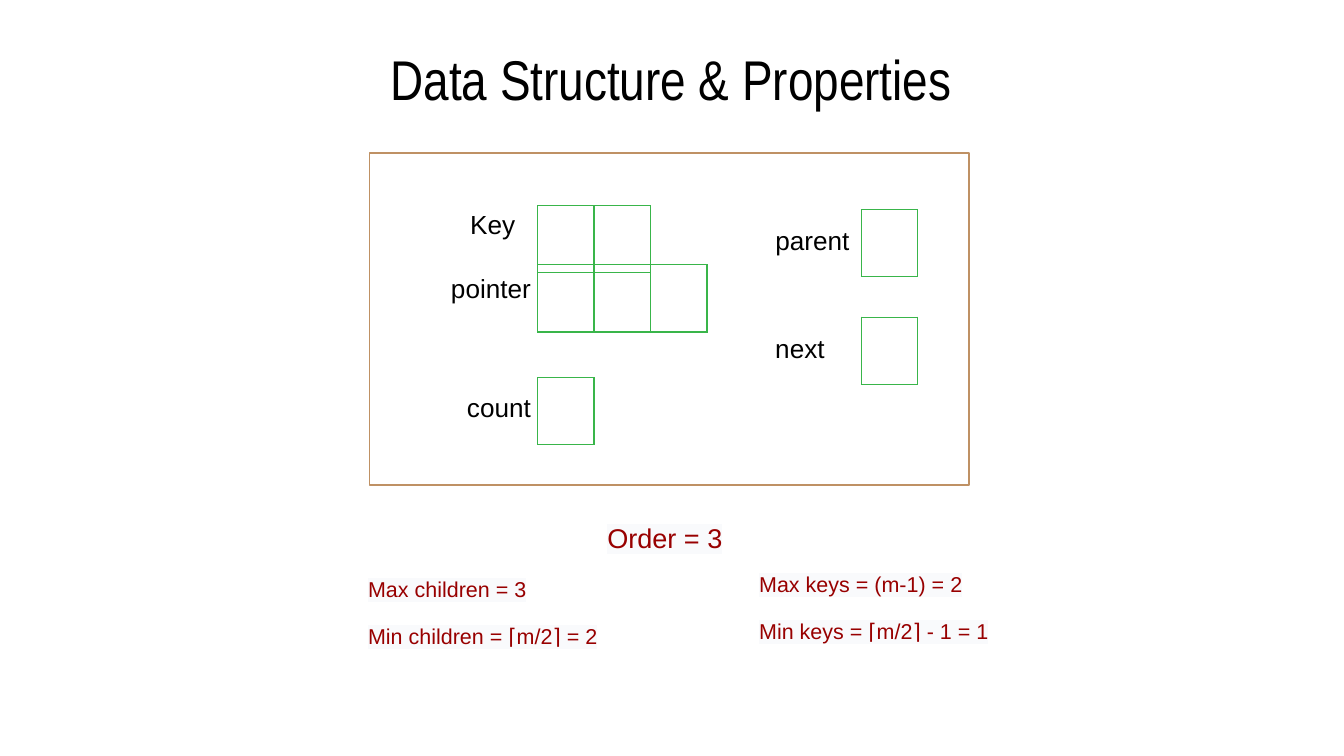
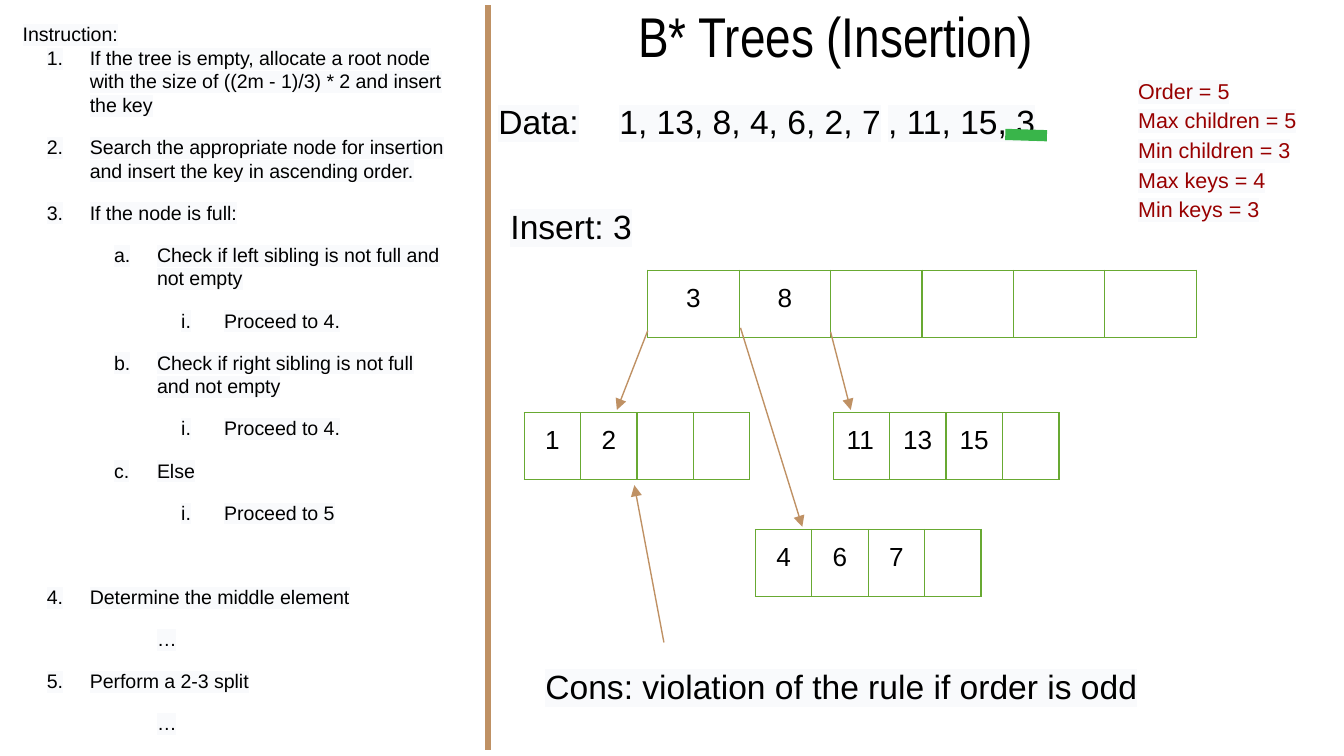
"""Builds two slides on B* trees: node structure and insertion."""
from pptx import Presentation
from pptx.dml.color import RGBColor
from pptx.enum.shapes import MSO_CONNECTOR, MSO_SHAPE
from pptx.enum.text import MSO_ANCHOR, PP_ALIGN
from pptx.oxml.ns import qn
from pptx.util import Inches, Pt
from lxml.etree import SubElement

WIDE = 10
HIGH = WIDE * 9 / 16
BLACK, RED, TAN = "000000", "980000", "BF9164"
GREEN, LEAF, PALE = "39B54A", "68A932", "F9FAFC"
LEFT, MID, RIGHT = PP_ALIGN.LEFT, PP_ALIGN.CENTER, PP_ALIGN.RIGHT
PAD, CELL, GAP = 0.1, 0.42, 10

FRAME = (2.75, 1.14, 4.46, 2.47)
SLOTS = [(4, 1.53, 2, 0.43), (4, 1.97, 2, 0.43), (4 + 2 * CELL, 1.97, 1, 0.17),
         (4, 2.81, 1, 0.43), (6.41, 1.56, 1, 0.43), (6.41, 2.36, 1, 0.43)]
LABELS = [("Key", 3.4, 1.45, 1.01, LEFT), ("pointer", 2.88, 1.93, 1.17, RIGHT),
          ("count", 3.31, 2.81, 0.74, RIGHT), ("parent", 5.67, 1.57, 1.01, LEFT),
          ("next", 5.67, 2.37, 0.74, LEFT)]
ORDER = ("Order = 3", 4.42, 3.74, 1.42, 0.39)
RULES = [(2.64, 4.16, ["Max children = 3", "Min children = ⌈m/2⌉ = 2"]),
         (5.55, 4.12, ["Max keys = (m-1) = 2", "Min keys = ⌈m/2⌉ - 1 = 1"])]
STEP = 0.35

STEPS = [
    ("1", 1, "If the tree is empty, allocate a root node with the size of ((2m - 1)/3) * 2 and insert the key"),
    ("1", 1, "Search the appropriate node for insertion and insert the key in ascending order."),
    ("1", 1, "If the node is full:"),
    ("a", 1, "Check if left sibling is not full and not empty"),
    ("i", 1, "Proceed to 4."),
    ("a", 1, "Check if right sibling is not full and not empty"),
    ("i", 1, "Proceed to 4."),
    ("a", 1, "Else"),
    ("i", 1, "Proceed to 5"),
    ("1", 4, "Determine the middle element"),
    ("", 1, "\t…"),
    ("1", 5, "Perform a 2-3 split"),
    ("", 1, "\t…"),
]
LEVELS = {"1": (0, "arabicPeriod"), "a": (1, "alphaLcPeriod"),
          "i": (2, "romanLcPeriod"), "": (0, None)}
NOTES = [("1, 13, 8, 4, 6, 2, 7\t, 11, 15, 3", 4.51, 0.61, 3.98),
         ("Data:", 3.61, 0.61, 0.99), ("Insert: 3", 3.7, 1.39, 1.47),
         ("Cons: violation of the rule if order is odd", 3.96, 4.81, 5.1)]
FACTS = ["Order = 5", "Max children = 5", "Min children = 3", "Max keys = 4", "Min keys = 3"]
NODES = [(4.82, 2.01, 0.68, ["3", "8", "", "", "", ""], MID),
         (3.9, 3.07, CELL, ["1", "2", "", ""], MID),
         (5.62, 3.94, CELL, ["4", "6", "7", ""], MID),
         (6.2, 3.07, CELL, ["11", "13", "15", ""], LEFT)]
ARROWS = [(4.82, 2.46, 4.59, 3.05), (5.51, 2.44, 5.97, 3.92),
          (6.18, 2.47, 6.33, 3.05), (4.94, 4.78, 4.72, 3.61)]


def hue(code):
    return RGBColor.from_string(code)


def style(para, size, tint=BLACK, face="Arial", align=None):
    para.alignment = align
    font = para.font
    font.size, font.name = Pt(size), face
    font.color.rgb = hue(tint)


def mark(para):
    for run in para.runs:
        pen = SubElement(run._r.get_or_add_rPr(), qn("a:highlight"))
        SubElement(pen, qn("a:srgbClr"), val=PALE)


def frame(slide, left, top, width, high):
    body = slide.shapes.add_textbox(*map(Inches, (left, top, width, high))).text_frame
    body.word_wrap = True
    body.margin_left = body.margin_right = Inches(PAD)
    body.margin_top = body.margin_bottom = Inches(PAD)
    return body


def text(slide, lines, left, top, width, high, size, tint=BLACK, align=None,
         lit=True, after=None):
    body = frame(slide, left, top, width, high)
    for num, line in enumerate(lines):
        para = body.add_paragraph() if num else body.paragraphs[0]
        para.text = line
        if lit:
            para.line_spacing = 1.15
            mark(para)
        if after:
            para.space_after = Pt(after)
        style(para, size, tint, align=align)
    return body


def title(slide, words, left, top, width):
    body = frame(slide, left, top, width, 0.53)
    body.vertical_anchor = MSO_ANCHOR.MIDDLE
    body.text = words
    style(body.paragraphs[0], 30, face="Arial Narrow", align=MID)


def grid(slide, left, top, wide, high, keys, tint, align=MID):
    size = map(Inches, (left, top, wide * len(keys), high))
    table = slide.shapes.add_table(1, len(keys), *size).table
    table.first_row = table.horz_banding = False
    for col, key in enumerate(keys):
        table.columns[col].width = Inches(wide)
        cell = table.cell(0, col)
        cell.margin_left = cell.margin_right = Inches(PAD)
        cell.margin_top = cell.margin_bottom = Inches(PAD)
        if key:
            cell.text = key
            style(cell.text_frame.paragraphs[0], 14, align=align)
        props = cell._tc.get_or_add_tcPr()
        for side in "LRTB":
            edge = SubElement(props, qn("a:ln" + side), w=str(Pt(0.75)))
            fill = SubElement(edge, qn("a:solidFill"))
            SubElement(fill, qn("a:srgbClr"), val=tint)
        cell.fill.background()


def line(slide, ends, tint, width, head=False):
    link = slide.shapes.add_connector(MSO_CONNECTOR.STRAIGHT, *map(Inches, ends))
    link.line.color.rgb = hue(tint)
    link.line.width = Pt(width)
    SubElement(link._element.spPr, qn("a:effectLst"))
    if head:
        SubElement(link.line._get_or_add_ln(), qn("a:tailEnd"), type="triangle")


def steps(slide):
    body = text(slide, ["Instruction:"], 0.07, 0.04, 3.35, 4.92, 10.5)
    for num, (kind, start, words) in enumerate(STEPS):
        para = body.add_paragraph()
        para.text = words
        mark(para)
        level, scheme = LEVELS[kind]
        para.level = level
        props = para._p.get_or_add_pPr()
        props.set("marL", str(Inches(0.5 * (level + 1))))
        props.set("indent", str(Inches(-0.32 if scheme else 0)))
        if scheme:
            paint = SubElement(props, qn("a:buClr"))
            SubElement(paint, qn("a:srgbClr"), val=BLACK)
            auto = SubElement(props, qn("a:buAutoNum"), type=scheme)
            if start > 1:
                auto.set("startAt", str(start))
        else:
            SubElement(props, qn("a:buNone"))
        if num:
            para.space_before = Pt(32.5 if start == 4 else GAP)
        style(para, 10.5)


def structure(slide):
    title(slide, "Data Structure & Properties", 2.14, 0.32, 5.71)
    box = slide.shapes.add_shape(MSO_SHAPE.RECTANGLE, *map(Inches, FRAME))
    box.shadow.inherit = False
    box.fill.background()
    box.line.color.rgb = hue(TAN)
    box.line.width = Pt(0.75)
    for left, top, count, high in SLOTS:
        grid(slide, left, top, CELL, high, [""] * count, GREEN)
    for words, left, top, width, align in LABELS:
        text(slide, [words], left, top, width, 0.44, 14, align=align, lit=False)
    text(slide, ORDER[:1], *ORDER[1:], 14.5, RED)
    for left, top, rules in RULES:
        for row, rule in enumerate(rules):
            text(slide, [rule], left, top + row * STEP, 3.28, 0.4, 11.5, RED)


def insertion(slide):
    title(slide, "B* Trees (Insertion)", 2.62, 0, 7.2)
    line(slide, (3.63, 0.04, 3.63, 5.58), TAN, 3)
    for words, left, top, width in NOTES:
        text(slide, [words], left, top, width, 0.53, 18, after=16)
    line(slide, (7.48, 1, 7.79, 1.01), GREEN, 6)
    text(slide, FACTS, 8.37, 0.45, 1.6, 1.29, 11.5, RED)
    for left, top, wide, keys, align in NODES:
        grid(slide, left, top, wide, 0.45, keys, LEAF, align)
    for ends in ARROWS:
        line(slide, ends, TAN, 0.75, head=True)
    steps(slide)


def main():
    deck = Presentation()
    deck.slide_width, deck.slide_height = Inches(WIDE), Inches(HIGH)
    for build in (structure, insertion):
        build(deck.slides.add_slide(deck.slide_layouts[6]))
    deck.save("out.pptx")


if __name__ == "__main__":
    main()
